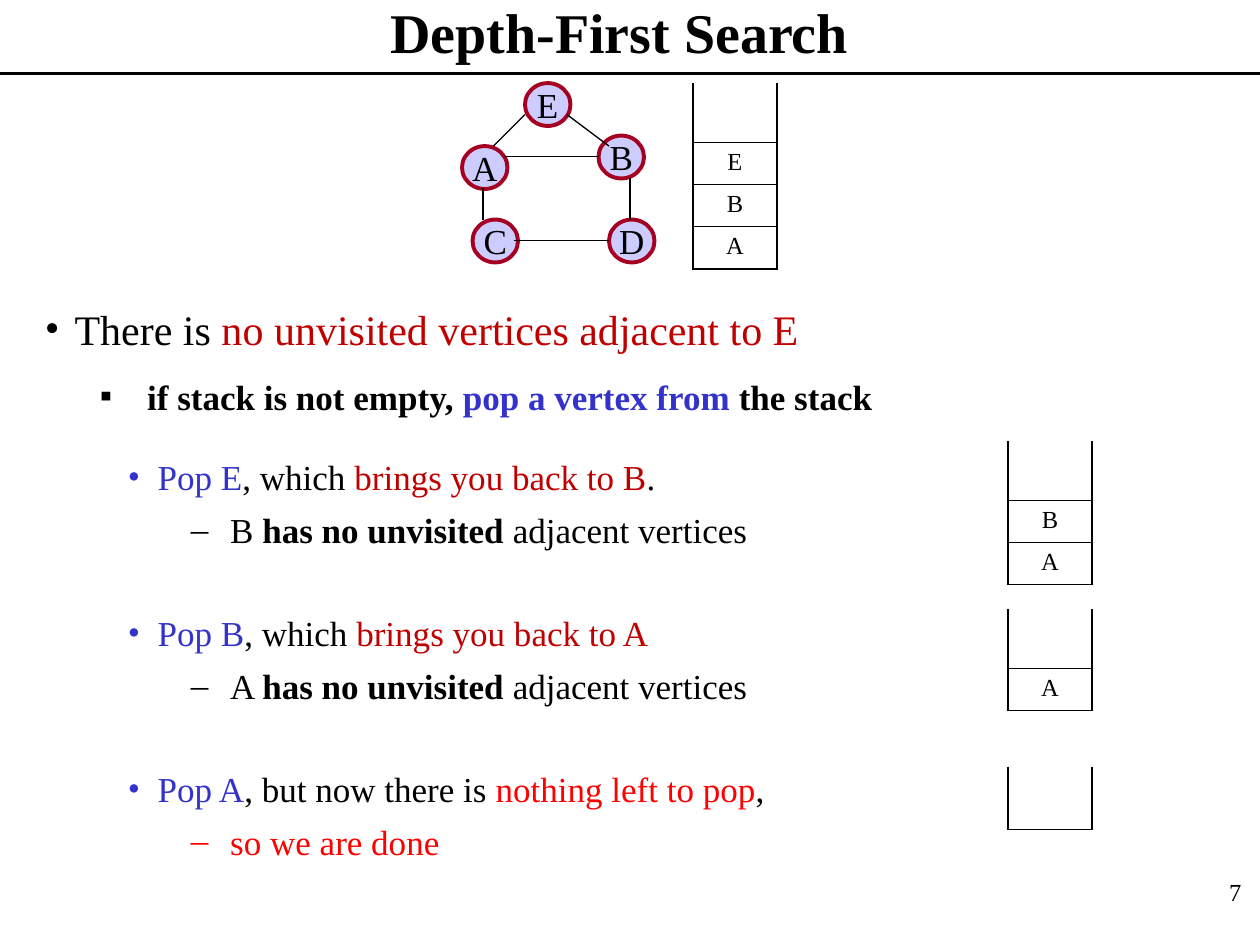
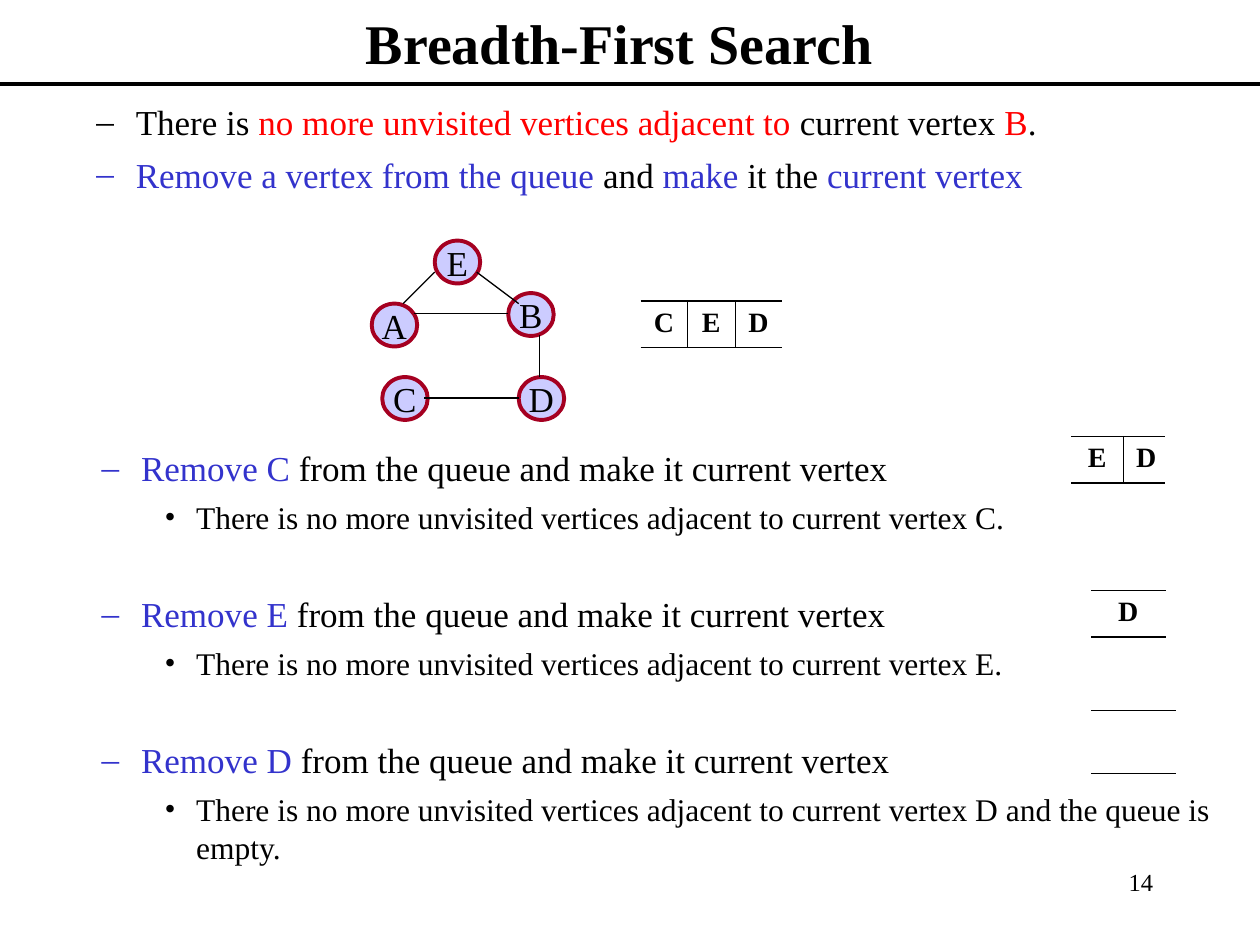
from dataclasses import dataclass

from lxml import etree
from pptx import Presentation
from pptx.dml.color import RGBColor
from pptx.enum.shapes import MSO_CONNECTOR as Connector, MSO_SHAPE as Shape
from pptx.enum.text import MSO_ANCHOR as Anchor, PP_ALIGN as Align
from pptx.oxml.ns import qn
from pptx.util import Pt


@dataclass(frozen=True)
class Theme:
    font: str = "Times New Roman"
    black: str = "000000"
    blue: str = "3333CC"
    dark_red: str = "C00000"
    red: str = "FF0000"
    node_fill: str = "CCCCFF"
    node_line: str = "A50021"
    title: int = 32
    lead: int = 24
    body: int = 20
    detail: int = 18
    queue: int = 16
    small: int = 14
    thick: float = 2.25
    thin: float = 0.75
    outer: float = 1.08
    inner: float = 0.45


@dataclass(frozen=True)
class Level:
    """Look of one kind of bulleted line; lengths in points."""
    bullet: str
    margin: float
    hanging: float
    size: int
    before: float
    bold: bool = False


THEME = Theme()
BLACK, BLUE, DARK_RED, RED = THEME.black, THEME.blue, THEME.dark_red, THEME.red

LEAD = Level("•", 17, 17, THEME.lead, 12)
RULE = Level("▪", 58.5, 27, THEME.body, 12, bold=True)
STEP = Level("•", 17, 17, THEME.body, 35)
DASH = Level("–", 58.5, 22.5, THEME.body, 6)
REMOVE = Level("–", 58.5, 22.5, THEME.body, 32.5)
DETAIL = Level("•", 90, 18, THEME.detail, 5.4)

# Graph, measured from the top-left corner of node E
NODE_SIZE = (26, 24.5)
NODES = {"A": (-36, 36), "C": (-30, 78), "D": (48, 78), "E": (0, 0), "B": (42, 30)}
EDGES = {
    "AB": (-12, 41.75, 42, 41.75),
    "DC": (48, 90, -6, 90),
    "BD": (60, 54, 60, 78),
    "AC": (-24, 60, -24, 78),
    "AE": (-18, 36, 0, 18),
    "EB": (24, 18, 48, 36),
}

# Stack and queue cells
STACK_WIDTH, STACK_ROW, STACK_OPENING = 48, 24, 34
QUEUE_ROW, EMPTY_ROW = 26.64, 36


class Deck:
    def __init__(self, theme):
        self.theme = theme
        self.presentation = Presentation()
        self.presentation.slide_width = Pt(720)
        self.presentation.slide_height = Pt(540)
        self.slide = None

    def new_slide(self, heading, rule_y, number, number_at):
        """Start a slide with its title, title rule and slide number."""
        blank = self.presentation.slide_layouts[6]
        self.slide = self.presentation.slides.add_slide(blank)
        title = self.text_box(48, 0, 612, rule_y if rule_y > 45 else 36, inset=False)
        title.vertical_anchor = Anchor.MIDDLE
        self.label(title, heading, self.theme.title, Align.CENTER, bold=True)
        self.line(0, rule_y, 720, rule_y, self.theme.thick)
        footer = self.text_box(*number_at, 150, 36)
        self.label(footer, number, self.theme.small, Align.RIGHT)

    def text_box(self, left, top, width, height, inset=True):
        box = self.slide.shapes.add_textbox(Pt(left), Pt(top), Pt(width), Pt(height))
        frame = box.text_frame
        frame.word_wrap = True
        self.set_insets(frame, inset)
        return frame

    @staticmethod
    def set_insets(frame, inset=True):
        frame.margin_left = frame.margin_right = Pt(7.2 if inset else 0)
        frame.margin_top = frame.margin_bottom = Pt(3.6 if inset else 0)

    def style(self, run, size, color, bold=False):
        run.font.name = self.theme.font
        run.font.size = Pt(size)
        run.font.bold = bold
        run.font.color.rgb = RGBColor.from_string(color)

    def label(self, frame, text, size, align, bold=False):
        frame.text = text
        paragraph = frame.paragraphs[0]
        paragraph.alignment = align
        for run in paragraph.runs:
            self.style(run, size, self.theme.black, bold)

    def bullets(self, left, top, width, height, lines):
        """Each line is (level, run, run, ...); a run is (text, color[, bold])."""
        frame = self.text_box(left, top, width, height)
        for index, (level, *runs) in enumerate(lines):
            paragraph = frame.add_paragraph() if index else frame.paragraphs[0]
            paragraph.space_before = Pt(level.before if index else 0)
            self.set_bullet(paragraph, level, runs[0][1])
            for text, color, *bold in runs:
                run = paragraph.add_run()
                run.text = text
                self.style(run, level.size, color, level.bold or bool(bold))

    def set_bullet(self, paragraph, level, color):
        properties = paragraph._p.get_or_add_pPr()
        properties.set("marL", str(Pt(level.margin)))
        properties.set("indent", str(-Pt(level.hanging)))
        bullet_color = etree.SubElement(properties, qn("a:buClr"))
        etree.SubElement(bullet_color, qn("a:srgbClr"), val=color)
        etree.SubElement(properties, qn("a:buFont"), typeface=self.theme.font)
        etree.SubElement(properties, qn("a:buChar"), char=level.bullet)

    def line(self, x1, y1, x2, y2, weight):
        connector = self.slide.shapes.add_connector(
            Connector.STRAIGHT, Pt(x1), Pt(y1), Pt(x2), Pt(y2))
        connector.line.width = Pt(weight)
        connector.line.color.rgb = RGBColor.from_string(self.theme.black)
        etree.SubElement(connector._element.spPr, qn("a:effectLst"))

    def node(self, letter, left, top):
        width, height = NODE_SIZE
        circle = self.slide.shapes.add_shape(
            Shape.OVAL, Pt(left), Pt(top), Pt(width), Pt(height))
        circle.shadow.inherit = False
        circle.fill.solid()
        circle.fill.fore_color.rgb = RGBColor.from_string(self.theme.node_fill)
        circle.line.color.rgb = RGBColor.from_string(self.theme.node_line)
        circle.line.width = Pt(self.theme.thick)
        frame = circle.text_frame
        frame.word_wrap = False
        frame.vertical_anchor = Anchor.MIDDLE
        self.set_insets(frame)
        self.label(frame, letter, self.theme.body, Align.CENTER)

    def graph(self, x, y, edges):
        for letter, (dx, dy) in NODES.items():
            self.node(letter, x + dx, y + dy)
        for edge in edges:
            x1, y1, x2, y2 = EDGES[edge]
            self.line(x + x1, y + y1, x + x2, y + y2, self.theme.thin)

    def grid(self, left, top, widths, heights):
        frame = self.slide.shapes.add_table(
            len(heights), len(widths), Pt(left), Pt(top), Pt(sum(widths)), Pt(sum(heights)))
        table = frame.table
        table.first_row = table.horz_banding = False
        for column, width in zip(table.columns, widths):
            column.width = Pt(width)
        for row, height in zip(table.rows, heights):
            row.height = Pt(height)
        return table

    def cell(self, cell, text, size, bold=False, **borders):
        """Fill one cell; borders not named among L, R, T, B stay invisible."""
        cell.fill.background()
        if text:
            self.label(cell.text_frame, text, size, Align.CENTER, bold)
        properties = cell._tc.get_or_add_tcPr()
        for index, side in enumerate("LRTB"):
            weight = borders.get(side, 0)
            border = etree.Element(qn(f"a:ln{side}"), w=str(Pt(weight)))
            if weight:
                fill = etree.SubElement(border, qn("a:solidFill"))
                etree.SubElement(fill, qn("a:srgbClr"), val=self.theme.black)
            else:
                etree.SubElement(border, qn("a:noFill"))
            properties.insert(index, border)

    def stack(self, left, top, letters):
        """Vertical stack, open at the top."""
        opening = STACK_OPENING if letters else EMPTY_ROW
        heights = [opening] + [STACK_ROW] * len(letters)
        table = self.grid(left, top, [STACK_WIDTH], heights)
        outer, inner = self.theme.outer, self.theme.inner
        for row, letter in enumerate(["", *letters]):
            self.cell(table.cell(row, 0), letter, self.theme.small, L=outer, R=outer,
                      T=inner if row else 0,
                      B=outer if row == len(letters) else inner)

    def queue(self, left, top, letters, widths):
        """Horizontal queue, open at both ends."""
        table = self.grid(left, top, widths, [QUEUE_ROW if letters else EMPTY_ROW])
        outer, inner = self.theme.outer, self.theme.inner
        last = len(widths) - 1
        for column, letter in enumerate(letters or [""]):
            self.cell(table.cell(0, column), letter, self.theme.queue, bold=True,
                      T=outer, B=outer,
                      L=inner if column else 0, R=inner if column < last else 0)


def depth_first(deck):
    deck.new_slide("Depth-First Search", 42, "7", (566.5, 497.5))
    deck.graph(300, 47.5, EDGES)

    # Rule for a vertex without unvisited neighbours
    deck.bullets(18.5, 170, 683, 82, [
        (LEAD, ("There is ", BLACK), ("no unvisited vertices adjacent to E", DARK_RED)),
        (RULE, ("if stack is not empty, ", BLACK), ("pop a vertex from ", BLUE),
         ("the stack", BLACK)),
    ])

    # Pops, one by one
    def visited(vertex):
        return (DASH, (f"{vertex} ", BLACK), ("has no unvisited", BLACK, True),
                (" adjacent vertices", BLACK))

    deck.bullets(66, 257, 474, 234, [
        (STEP, ("Pop E", BLUE), (", which ", BLACK),
         ("brings you back to B", DARK_RED), (".", BLACK)),
        visited("B"),
        (STEP, ("Pop B", BLUE), (", which ", BLACK), ("brings you back to A", DARK_RED)),
        visited("A"),
        (STEP, ("Pop A", BLUE), (", but now there is ", BLACK),
         ("nothing left to pop", RED), (",", BLACK)),
        (DASH, ("so we are done", RED)),
    ])

    # Stack before and after each pop
    for left, top, letters in [(396, 47.5, "EBA"), (576, 252, "BA"),
                               (576, 348, "A"), (576, 438, "")]:
        deck.stack(left, top, letters)


def breadth_first(deck):
    deck.new_slide("Breadth-First Search", 48, "14", (516, 492))

    # Rule for a vertex without unvisited neighbours
    deck.bullets(12, 54, 696, 205, [
        (DASH, ("There is ", BLACK), ("no more unvisited vertices adjacent to ", RED),
         ("current vertex ", BLACK), ("B", RED), (".", BLACK)),
        (DASH, ("Remove a vertex from the queue", BLUE), (" and ", BLACK),
         ("make", BLUE), (" it the ", BLACK), ("current vertex", BLUE)),
    ])
    deck.graph(248.4, 137.5, [edge for edge in EDGES if edge != "AC"])

    # Removals, one by one
    removals = []
    for vertex, ending in [("C", "."), ("E", "."), ("D", " and the queue is empty.")]:
        removals += [
            (REMOVE, (f"Remove {vertex} ", BLUE),
             ("from the queue and make it current vertex", BLACK)),
            (DETAIL, ("There is no more unvisited vertices adjacent to "
                      f"current vertex {vertex}{ending}", BLACK)),
        ]
    deck.bullets(15, 251.5, 705, 241, removals)

    # Queue before and after each removal
    for left, top, letters, widths in [(366, 172, "CED", [26.8, 27.2, 26.8]),
                                       (612, 249.5, "ED", [30, 24]),
                                       (623.5, 337.5, "D", [42.5]),
                                       (623.5, 406, "", [48.75])]:
        deck.queue(left, top, letters, widths)


def main():
    deck = Deck(THEME)
    depth_first(deck)
    breadth_first(deck)
    deck.presentation.save("out.pptx")


if __name__ == "__main__":
    main()
